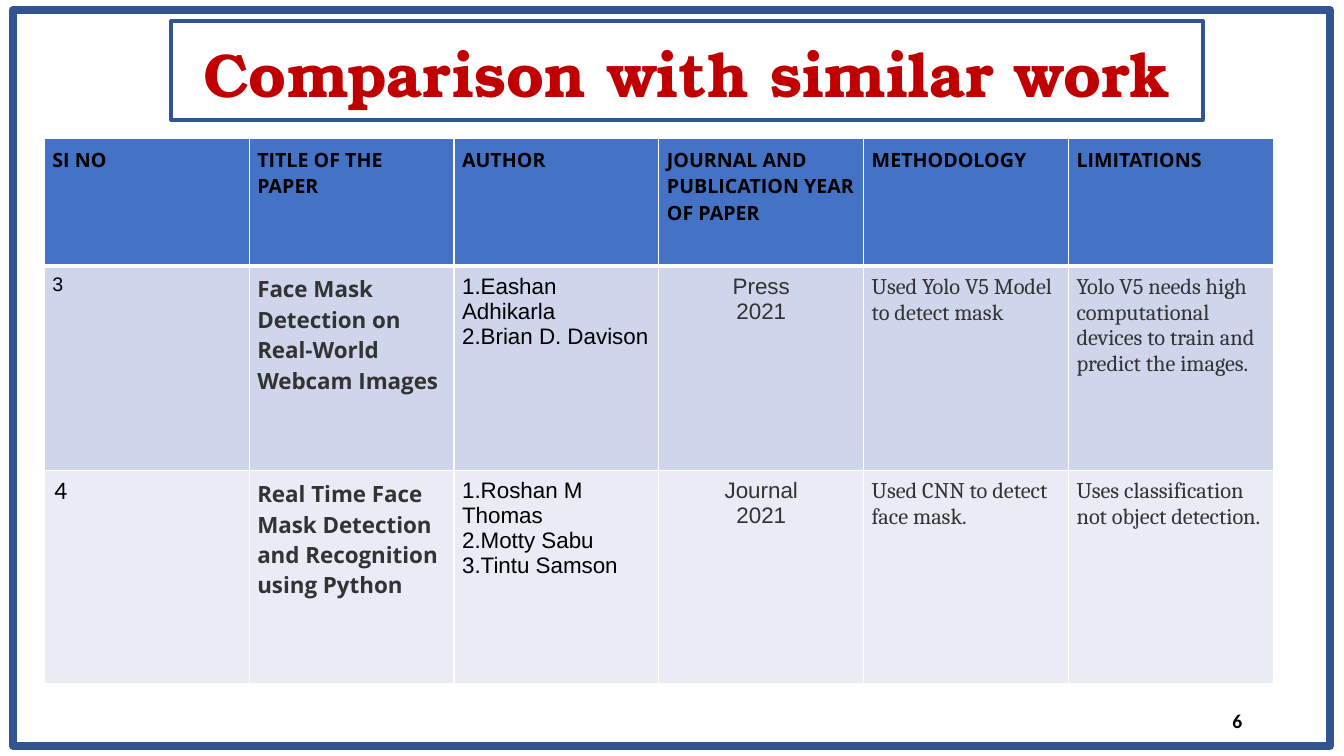
from lxml.etree import SubElement
from pptx import Presentation
from pptx.dml.color import RGBColor
from pptx.enum.shapes import MSO_SHAPE
from pptx.enum.text import MSO_ANCHOR, PP_ALIGN
from pptx.oxml.ns import qn
from pptx.util import Inches, Pt

WIDTH, HEIGHT = Inches(13.33), Inches(7.5)
NAVY, BLUE, RED = "325491", "4472C4", "C00000"
BLACK, GREY, WHITE = "000000", "333333", "FFFFFF"
ROW_FILLS = [BLUE, "CFD5EA", "E9EBF5"]
ROW_HEIGHTS = [1.27, 2.03, 2.11]

HEADINGS = ["SI NO", "TITLE OF THE PAPER", "AUTHOR",
            "JOURNAL AND PUBLICATION YEAR OF PAPER",
            "METHODOLOGY", "LIMITATIONS"]
PAPERS = [
    ["3", "Face Mask Detection on Real-World Webcam Images",
     "1.Eashan Adhikarla\n2.Brian D. Davison", "Press\n2021",
     "Used Yolo V5 Model to detect mask",
     "Yolo V5 needs high computational devices to train and predict the images."],
    ["4", "Real Time Face Mask Detection and Recognition using Python",
     "1.Roshan M Thomas\n2.Motty Sabu\n3.Tintu Samson", "Journal\n2021",
     "Used CNN to detect face mask.",
     "Uses classification not object detection."],
]

# Text formats: one for the headings, one for each column below them
HEADING = dict(size=14, font="Open Sans", bold=True)
NOTE = dict(size=16, font="Cambria", color=GREY)
COLUMNS = [
    dict(size=14, font="Arial"),
    dict(size=16, font="Open Sans", color=GREY, bold=True),
    dict(size=16, font="Arial"),
    dict(size=16, font="Arial", color=GREY, align=PP_ALIGN.CENTER),
    NOTE,
    NOTE,
]


def rgb(color):
    return RGBColor.from_string(color)


def write(tf, text, size=14, font="Arial", color=BLACK, bold=False,
          align=PP_ALIGN.LEFT, spacing=None):
    """Write each line of the text as one paragraph."""
    tf.word_wrap = True
    for i, line in enumerate(text.split("\n")):
        p = tf.add_paragraph() if i else tf.paragraphs[0]
        p.alignment = align
        p.line_spacing = spacing
        r = p.add_run()
        r.text = line
        r.font.size = Pt(size)
        r.font.name = font
        r.font.bold = bold
        r.font.color.rgb = rgb(color)


def add_outline(s, left, top, width, height, weight):
    sp = s.shapes.add_shape(MSO_SHAPE.RECTANGLE, Inches(left), Inches(top),
                            Inches(width), Inches(height))
    sp.shadow.inherit = False
    sp.fill.background()
    sp.line.color.rgb = rgb(NAVY)
    sp.line.width = Pt(weight)
    return sp


def set_borders(cell, **weights):
    """Draw white cell borders; keys are the sides L, R, T and B."""
    tcPr = cell._tc.get_or_add_tcPr()
    for side, weight in weights.items():
        ln = SubElement(tcPr, qn(f"a:ln{side}"), w=str(Pt(weight)))
        fill = SubElement(ln, qn("a:solidFill"))
        SubElement(fill, qn("a:srgbClr"), val=WHITE)


def fill_cell(cell, text, row, fmt):
    heading = row == 0
    set_borders(cell, L=1, R=1, T=3 if row == 1 else 1, B=3 if heading else 1)
    cell.fill.solid()
    cell.fill.fore_color.rgb = rgb(ROW_FILLS[row])
    cell.margin_left = cell.margin_right = Inches(0.08)
    cell.margin_top = cell.margin_bottom = Inches(0.08)
    write(cell.text_frame, text, **fmt)


def add_comparison(s):
    rows = [HEADINGS] + PAPERS
    frame = s.shapes.add_table(len(rows), len(HEADINGS), Inches(0.44), Inches(1.37),
                               Inches(12.19), Inches(sum(ROW_HEIGHTS)))
    table = frame.table
    for i, (texts, height) in enumerate(zip(rows, ROW_HEIGHTS)):
        table.rows[i].height = Inches(height)
        for j, text in enumerate(texts):
            fill_cell(table.cell(i, j), text, i, COLUMNS[j] if i else HEADING)

    # The last serial number is larger than the first
    last = table.cell(len(rows) - 1, 0)
    last.margin_left = Inches(0.1)
    last.margin_top = Inches(0.05)
    font = last.text_frame.paragraphs[0].runs[0].font
    font.size, font.name = Pt(18), "Calibri"


def add_page_number(s, number):
    tf = s.shapes.add_textbox(Inches(9.42), Inches(6.95),
                              Inches(3), Inches(0.4)).text_frame
    tf.vertical_anchor = MSO_ANCHOR.MIDDLE
    write(tf, number, font="Calibri", bold=True, align=PP_ALIGN.RIGHT)


def main():
    prs = Presentation()
    prs.slide_width, prs.slide_height = WIDTH, HEIGHT
    s = prs.slides.add_slide(prs.slide_layouts[6])

    # Title box and page frame
    title = add_outline(s, 1.7, 0.21, 10.23, 0.98, 2.75)
    title.text_frame.vertical_anchor = MSO_ANCHOR.MIDDLE
    write(title.text_frame, "Comparison with similar work", size=44,
          font="TeX Gyre Bonum", color=RED, bold=True,
          align=PP_ALIGN.CENTER, spacing=1.07)
    add_outline(s, 0.13, 0.1, 13.06, 7.3, 5.75)

    # Page number and table
    add_page_number(s, "6")
    add_comparison(s)
    prs.save("out.pptx")


if __name__ == "__main__":
    main()
